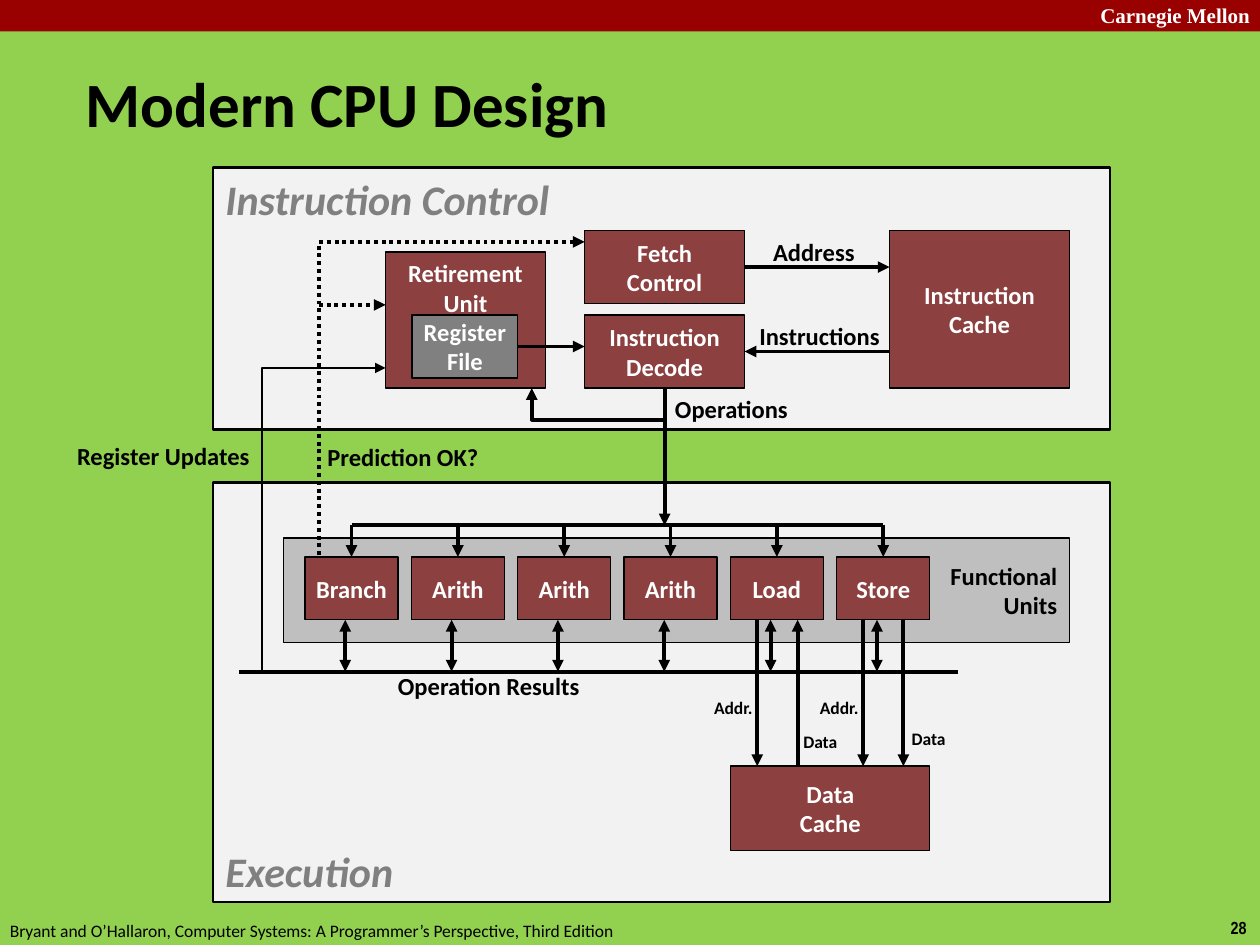
from lxml.etree import SubElement
from pptx import Presentation
from pptx.dml.color import RGBColor
from pptx.enum.dml import MSO_LINE
from pptx.enum.shapes import MSO_CONNECTOR, MSO_SHAPE
from pptx.enum.text import MSO_ANCHOR, MSO_AUTO_SIZE, PP_ALIGN
from pptx.oxml.ns import qn
from pptx.util import Inches, Pt


class Theme:
    back, band, panel, tray = "92D050", "990000", "F2F2F2", "BFBFBF"
    unit, gray, ink, white = "8C4040", "808080", "000000", "FFFFFF"
    font, serif, narrow = "Calibri", "Times New Roman", "Arial Narrow"
    title, head, body, brand, small = 36, 24, 14, 12, 10
    thin, mid, thick = 0.75, 1.5, 2.25


LEFT, MID, RIGHT = PP_ALIGN.LEFT, PP_ALIGN.CENTER, PP_ALIGN.RIGHT
TOP, CENTER, BASE = MSO_ANCHOR.TOP, MSO_ANCHOR.MIDDLE, MSO_ANCHOR.BOTTOM

deck = Presentation()
deck.slide_width, deck.slide_height = Inches(10), Inches(7.5)
slide = deck.slides.add_slide(deck.slide_layouts[5])
shapes = slide.shapes
slide.background.fill.solid()
slide.background.fill.fore_color.rgb = RGBColor.from_string(Theme.back)


def write(text, at, shape=None, fill=None, edge=Theme.thin, size=Theme.body,
          color=Theme.ink, font=Theme.font, bold=True, italic=False,
          align=MID, anchor=TOP, side=0.1, wrap=False):
    """Write text in a given shape, a filled rectangle or a text box."""
    at = [Inches(n) for n in at]
    if shape:
        shape.left, shape.top, shape.width, shape.height = at
    elif fill:
        shape = shapes.add_shape(MSO_SHAPE.RECTANGLE, *at)
        shape.shadow.inherit = False
        shape.fill.solid()
        shape.fill.fore_color.rgb = RGBColor.from_string(fill)
        if edge:
            shape.line.color.rgb = RGBColor.from_string(Theme.ink)
            shape.line.width = Pt(edge)
        else:
            shape.line.fill.background()
    else:
        shape = shapes.add_textbox(*at)
    frame = shape.text_frame
    frame.text = text
    frame.word_wrap = wrap
    frame.auto_size = MSO_AUTO_SIZE.NONE
    frame.vertical_anchor = anchor
    frame.margin_left = frame.margin_right = Inches(side)
    for para in frame.paragraphs:
        para.alignment = align
        para.font.size, para.font.name = Pt(size), font
        para.font.bold, para.font.italic = bold, italic
        para.font.color.rgb = RGBColor.from_string(color)
    return shape


def link(*points, start=None, end=None, head=False, tail=True,
         width=Theme.thick, dots=False):
    """Draw a straight connector, or a bent line through more points."""
    spots = [(Inches(x), Inches(y)) for x, y in points]
    if len(spots) == 2:
        line = shapes.add_connector(MSO_CONNECTOR.STRAIGHT, *spots[0], *spots[1])
        if start:
            line.begin_connect(*start)
        if end:
            line.end_connect(*end)
    else:
        pen = shapes.build_freeform(*spots[0])
        pen.add_line_segments(spots[1:], close=False)
        line = pen.convert_to_shape()
        line.fill.background()
    line.line.color.rgb = RGBColor.from_string(Theme.ink)
    line.line.width = Pt(width)
    if dots:
        line.line.dash_style = MSO_LINE.ROUND_DOT
    props = line.element.spPr
    for show, tag in ((head, "a:headEnd"), (tail, "a:tailEnd")):
        if show:
            SubElement(props.find(qn("a:ln")), qn(tag)).set("type", "triangle")
    SubElement(props, qn("a:effectLst"))


# Header, title and footer
write("", (0, 0, 10, 0.25), fill=Theme.band, edge=None)
write("Carnegie Mellon", (8.64, -0.03, 1.38, 0.3), size=Theme.brand,
      font=Theme.serif, color=Theme.white, align=RIGHT)
write("Modern CPU Design", (0.58, 0.5, 6.41, 0.63), shape=shapes.title,
      size=Theme.title, align=LEFT, anchor=CENTER, wrap=True)
write("28", (9.66, 7.23, 0.34, 0.27), size=Theme.small, font=Theme.narrow)
write("Bryant and O’Hallaron, Computer Systems: A Programmer’s Perspective, "
      "Third Edition", (-0.02, 7.25, 5.08, 0.27), size=Theme.small,
      bold=False, align=LEFT)

# Panels
for text, top, tall, anchor in (("Execution", 3.83, 3.33, BASE),
                                ("Instruction Control", 1.33, 2.08, TOP)):
    write(text, (1.69, top, 7.12, tall), fill=Theme.panel, edge=Theme.mid,
          size=Theme.head, color=Theme.gray, italic=True, align=LEFT,
          anchor=anchor, wrap=True)
write("Functional\nUnits", (2.25, 4.27, 6.24, 0.83), fill=Theme.tray,
      align=RIGHT, anchor=CENTER, wrap=True)

# Dotted prediction line, under the blocks
link((4.64, 1.92), (2.53, 1.92), (2.53, 4.42), head=True, tail=False, dots=True)

# Blocks of the two panels
block = dict(fill=Theme.unit, color=Theme.white, anchor=CENTER, side=0.02,
             wrap=True)
write("Retirement\nUnit", (3.06, 2, 1.27, 1.08), **{**block, "anchor": TOP})
file = write("Register\nFile", (3.27, 2.5, 0.84, 0.5),
             **{**block, "fill": Theme.gray})
fetch = write("Fetch\nControl", (4.64, 1.83, 1.27, 0.58), **block)
decode = write("Instruction\nDecode", (4.64, 2.5, 1.27, 0.58), **block)
write("Instruction\nCache", (7.06, 1.83, 1.43, 1.25), **block)
write("Data\nCache", (5.8, 6.08, 1.58, 0.67), **block)

# Functional units with their feeds and results
names = ["Branch", "Arith", "Arith", "Arith", "Load", "Store"]
first, step, wide = 2.42, 0.844, 0.74
for i, name in enumerate(names):
    left = first + i * step
    mid = left + wide / 2
    unit = write(name, (left, 4.42, wide, 0.5), **block)
    link((mid, 4.17), (mid, 4.42), end=(unit, 0))
    link((mid - 0.05, 4.92), (mid - 0.05, 5.33), head=True)

# Buses
link((first + wide / 2, 4.17), (mid, 4.17), tail=False)
link((1.9, 5.33), (7.6, 5.33), tail=False)

# Control flow
link((5.91, 2.12), (7.06, 2.12), start=(fetch, 3))
link((7.06, 2.79), (5.91, 2.79), end=(decode, 3))
link((4.11, 2.75), (4.64, 2.75), start=(file, 3))
link((5.275, 3.08), (5.275, 4.17), start=(decode, 2))
link((5.27, 3.33), (4.22, 3.33), (4.22, 3.08))
link((2.53, 2.42), (3.06, 2.42), dots=True)
link((3.06, 2.92), (2.08, 2.92), (2.08, 5.33), head=True, tail=False,
     width=Theme.mid)

# Data cache traffic
for x, low, high in ((6.01, 4.92, 6.08), (6.33, 6.08, 4.92),
                     (6.85, 4.92, 6.08), (7.17, 4.92, 6.08)):
    link((x, low), (x, high))

# Labels
for text, x, y, wide, align in (
        ("Address", 6.03, 1.83, 0.86, MID),
        ("Instructions", 5.92, 2.5, 1.17, MID),
        ("Operations", 5.25, 3.08, 1.11, MID),
        ("Prediction OK?", 2.5, 3.46, 1.41, LEFT),
        ("Register Updates", 0.5, 3.45, 1.58, RIGHT),
        ("Operation Results", 3.06, 5.28, 1.66, LEFT)):
    write(text, (x, y, wide, 0.34), align=align)
for text, x, y, wide in (("Addr.", 5.56, 5.48, 0.52), ("Data", 6.27, 5.75, 0.48),
                         ("Addr.", 6.4, 5.48, 0.52), ("Data", 7.13, 5.73, 0.48)):
    write(text, (x, y, wide, 0.27), size=Theme.small)

deck.save("out.pptx")
